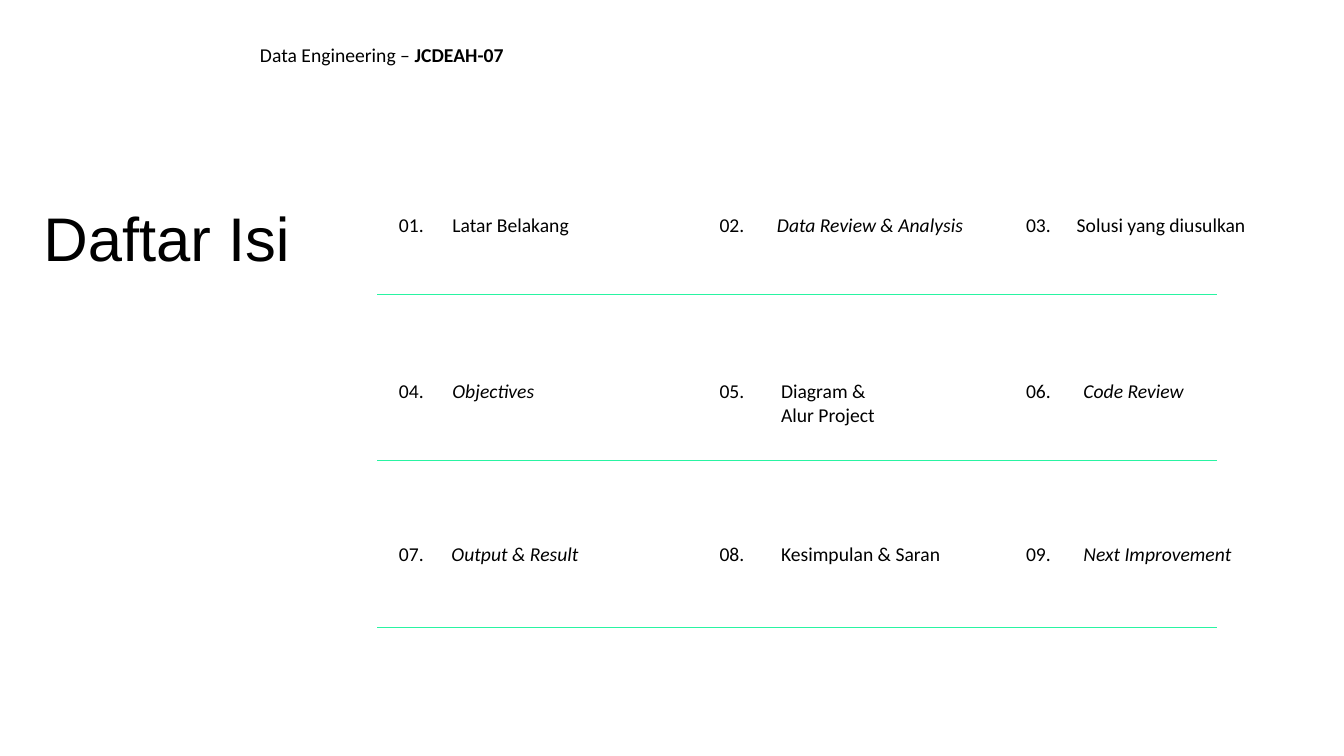
import pptx
import pptx.dml.color
import pptx.enum.shapes
import pptx.enum.text
import pptx.oxml.ns
import pptx.util
from lxml import etree

Pt = pptx.util.Pt
BLACK = "000000"
GREEN = "29F4A2"

# Contents grid, in points
ROW_TOPS = [148.3, 267.1, 383.8]
NUMBER_LEFTS = [277.9, 506.9, 725.8]
RULE_TOP, RULE_STEP = 210.2, 118.8
RULE_LEFT, RULE_RIGHT = 269.3, 869

# Each topic: lines, left, width, italic
TOPICS = [
    (["Latar Belakang"], 316.1, 108, False),
    (["Data Review & Analysis"], 547.9, 161.3, True),
    (["Solusi yang diusulkan"], 762, 135, False),
    (["Objectives"], 316.1, 81.4, True),
    (["Diagram &", "Alur Project"], 550.8, 87.8, False),
    (["Code Review"], 766.8, 97.9, True),
    (["Output & Result"], 315.4, 115.9, True),
    (["Kesimpulan & Saran"], 550.8, 140.4, False),
    (["Next Improvement"], 766.8, 132.5, True),
]


def color(hex_code):
    return pptx.dml.color.RGBColor.from_string(hex_code)


def add_run(paragraph, text, size=14, face="Calibri", bold=False, italic=False):
    run = paragraph.add_run()
    run.text = text
    run.font.size = Pt(size)
    run.font.name = face
    run.font.bold = bold
    run.font.italic = italic
    run.font.color.rgb = color(BLACK)


def add_label(slide, left, top, width, height=24.2):
    label = slide.shapes.add_textbox(Pt(left), Pt(top), Pt(width), Pt(height))
    label.text_frame.word_wrap = False
    label.text_frame.auto_size = pptx.enum.text.MSO_AUTO_SIZE.SHAPE_TO_FIT_TEXT
    return label.text_frame


def add_title(slide, text):
    title = slide.shapes.title
    title.left, title.top = Pt(23.8), Pt(145.4)
    title.width, title.height = Pt(295.2), Pt(55.4)
    frame = title.text_frame
    frame.word_wrap = True
    frame.vertical_anchor = pptx.enum.text.MSO_ANCHOR.TOP
    paragraph = frame.paragraphs[0]
    paragraph.alignment = pptx.enum.text.PP_ALIGN.LEFT
    paragraph.line_spacing = 0.9
    add_run(paragraph, text, size=44, face="Arial")


def add_topic(slide, index, lines, left, width, italic):
    row, column = divmod(index, 3)
    top = ROW_TOPS[row]
    number = add_label(slide, NUMBER_LEFTS[column], top, 33.8)
    add_run(number.paragraphs[0], f"{index + 1:02d}.")
    topic = add_label(slide, left, top, width, 24.2 + 17 * (len(lines) - 1))
    for position, line in enumerate(lines):
        paragraph = topic.add_paragraph() if position else topic.paragraphs[0]
        add_run(paragraph, line, italic=italic)


def add_rule(slide, top):
    rule = slide.shapes.add_connector(
        pptx.enum.shapes.MSO_CONNECTOR.STRAIGHT,
        Pt(RULE_LEFT), Pt(top), Pt(RULE_RIGHT), Pt(top))
    rule.line.color.rgb = color(GREEN)
    rule.line.width = Pt(0.5)
    properties = rule.element.find(pptx.oxml.ns.qn("p:spPr"))
    etree.SubElement(properties, pptx.oxml.ns.qn("a:effectLst"))


def main():
    deck = pptx.Presentation()
    deck.slide_width, deck.slide_height = Pt(960), Pt(540)
    slide = deck.slides.add_slide(deck.slide_layouts[5])

    # Title and numbered topics
    add_title(slide, "Daftar Isi")
    for index, topic in enumerate(TOPICS):
        add_topic(slide, index, *topic)

    # Rule below each row
    for row in range(len(ROW_TOPS)):
        add_rule(slide, RULE_TOP + row * RULE_STEP)

    # Course header
    header = add_label(slide, 178.6, 27.4, 215.3, 41).paragraphs[0]
    add_run(header, "Data Engineering – ")
    add_run(header, "JCDEAH-07", bold=True)

    deck.save("out.pptx")


if __name__ == "__main__":
    main()
